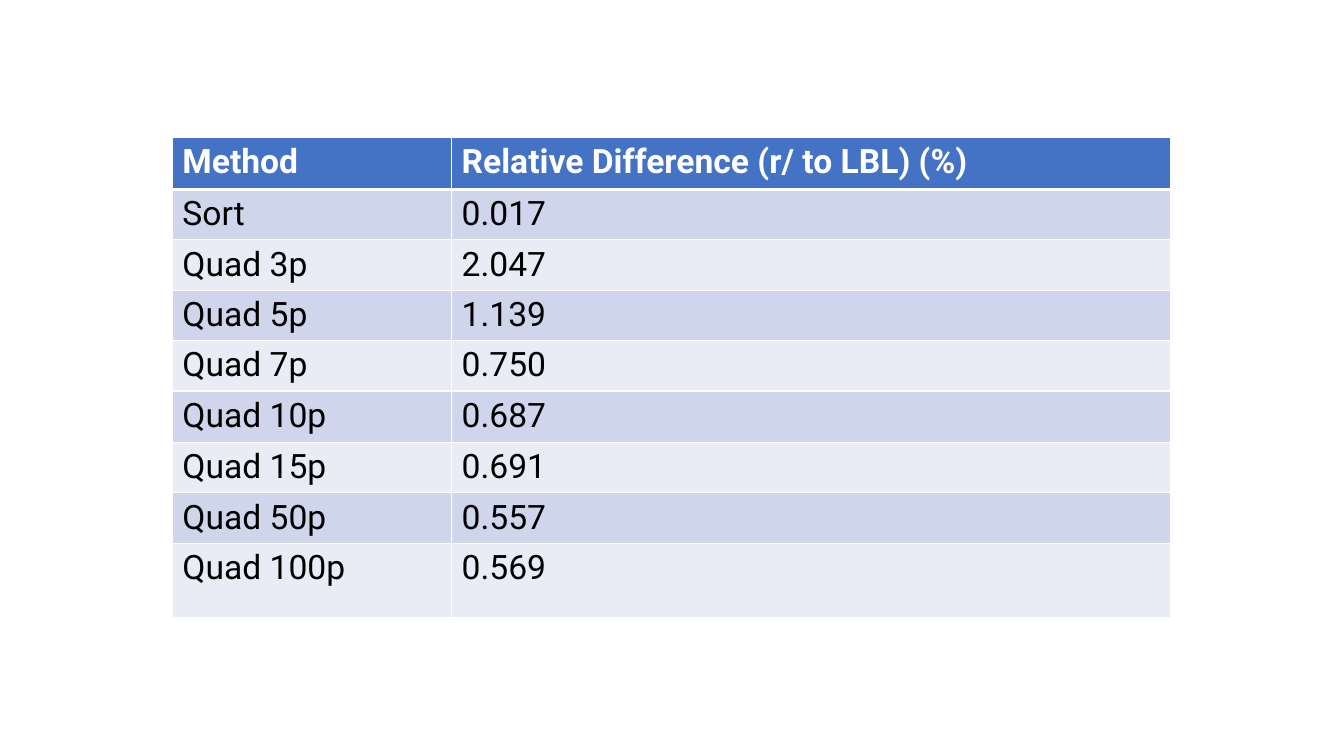
from dataclasses import dataclass

from lxml import etree
from pptx import Presentation
from pptx.dml.color import RGBColor
from pptx.oxml import ns
from pptx.util import Inches, Pt

COLORS = {
    "header": "4472C4",
    "odd_band": "CFD5EA",
    "even_band": "E9EBF5",
    "border": "FFFFFF",
    "header_text": "FFFFFF",
    "body_text": "000000",
}
FONT = "Roboto"
COLUMN_WIDTHS = (2.77, 7.13)
THIN, THICK = 1, 3


@dataclass(frozen=True)
class MethodRow:
    method: str
    difference: str
    height: float = 0.5


ROWS = [
    MethodRow("Method", "Relative Difference (r/ to LBL) (%)", 0.52),
    MethodRow("Sort", "0.017"),
    MethodRow("Quad 3p", "2.047"),
    MethodRow("Quad 5p", "1.139"),
    MethodRow("Quad 7p", "0.750"),
    MethodRow("Quad 10p", "0.687", 0.51),
    MethodRow("Quad 15p", "0.691"),
    MethodRow("Quad 50p", "0.557"),
    MethodRow("Quad 100p", "0.569", 0.74),
]


def set_borders(cell, top: float, bottom: float) -> None:
    """Insert the four border lines ahead of the fill, as the schema requires."""
    properties = cell._tc.get_or_add_tcPr()
    widths = {"lnL": THIN, "lnR": THIN, "lnT": top, "lnB": bottom}
    for position, (side, width) in enumerate(widths.items()):
        line = etree.Element(ns.qn(f"a:{side}"), w=str(Pt(width)))
        fill = etree.SubElement(line, ns.qn("a:solidFill"))
        etree.SubElement(fill, ns.qn("a:srgbClr"), val=COLORS["border"])
        properties.insert(position, line)


def fill_cell(cell, content: str, row_index: int) -> None:
    is_header = row_index == 0
    band = "header" if is_header else "odd_band" if row_index % 2 else "even_band"
    cell.fill.solid()
    cell.fill.fore_color.rgb = RGBColor.from_string(COLORS[band])
    set_borders(
        cell,
        top=THICK if row_index == 1 else THIN,
        bottom=THICK if is_header else THIN,
    )

    cell.text_frame.text = content
    font = cell.text_frame.paragraphs[0].runs[0].font
    font.name = FONT
    font.size = Pt(24)
    font.bold = is_header
    text_color = "header_text" if is_header else "body_text"
    font.color.rgb = RGBColor.from_string(COLORS[text_color])


def add_method_table(slide) -> None:
    methods = slide.shapes.add_table(
        len(ROWS), len(COLUMN_WIDTHS), Inches(1.71), Inches(1.36),
        Inches(sum(COLUMN_WIDTHS)), Inches(sum(row.height for row in ROWS)),
    ).table
    for column, width in zip(methods.columns, COLUMN_WIDTHS):
        column.width = Inches(width)
    for row_index, row in enumerate(ROWS):
        methods.rows[row_index].height = Inches(row.height)
        for column_index, content in enumerate((row.method, row.difference)):
            fill_cell(methods.cell(row_index, column_index), content, row_index)


def main() -> None:
    presentation = Presentation()
    presentation.slide_width = Inches(13.33)
    presentation.slide_height = Inches(7.5)
    blank_layout = presentation.slide_layouts[6]
    add_method_table(presentation.slides.add_slide(blank_layout))
    presentation.save("out.pptx")


if __name__ == "__main__":
    main()
